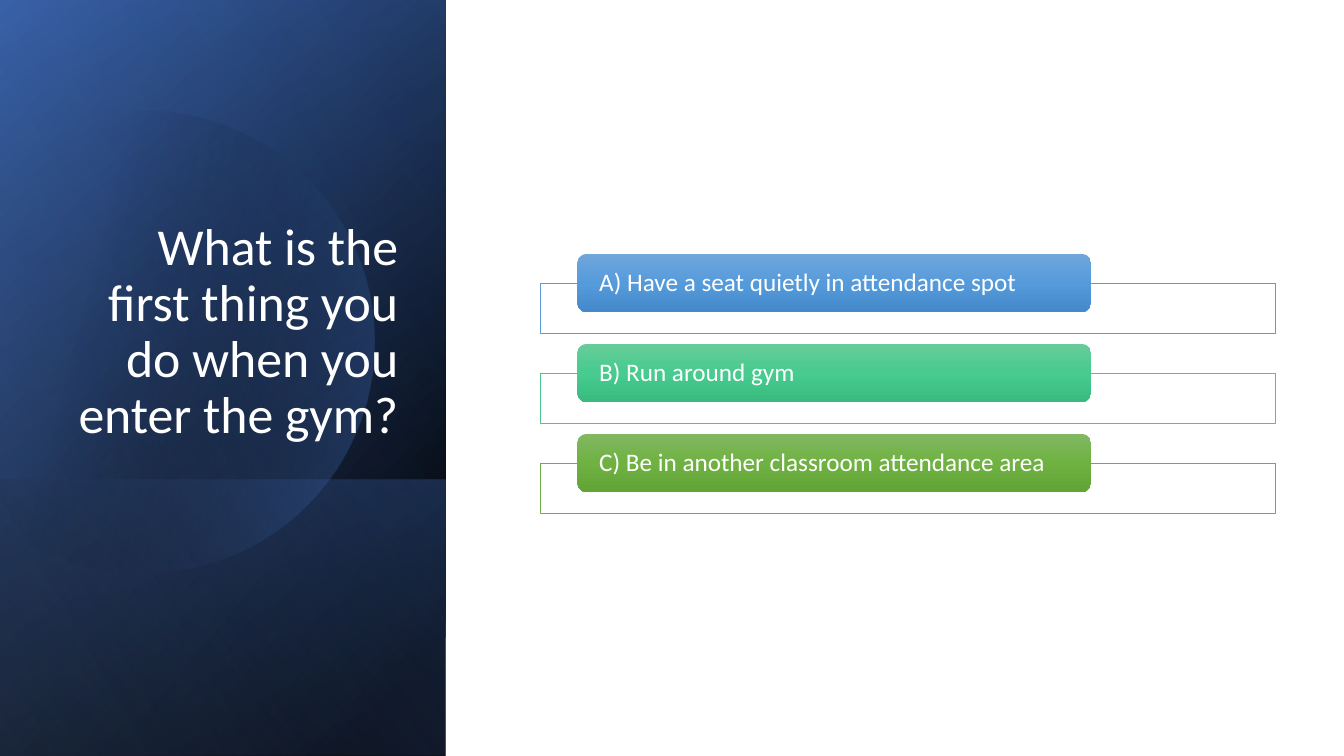
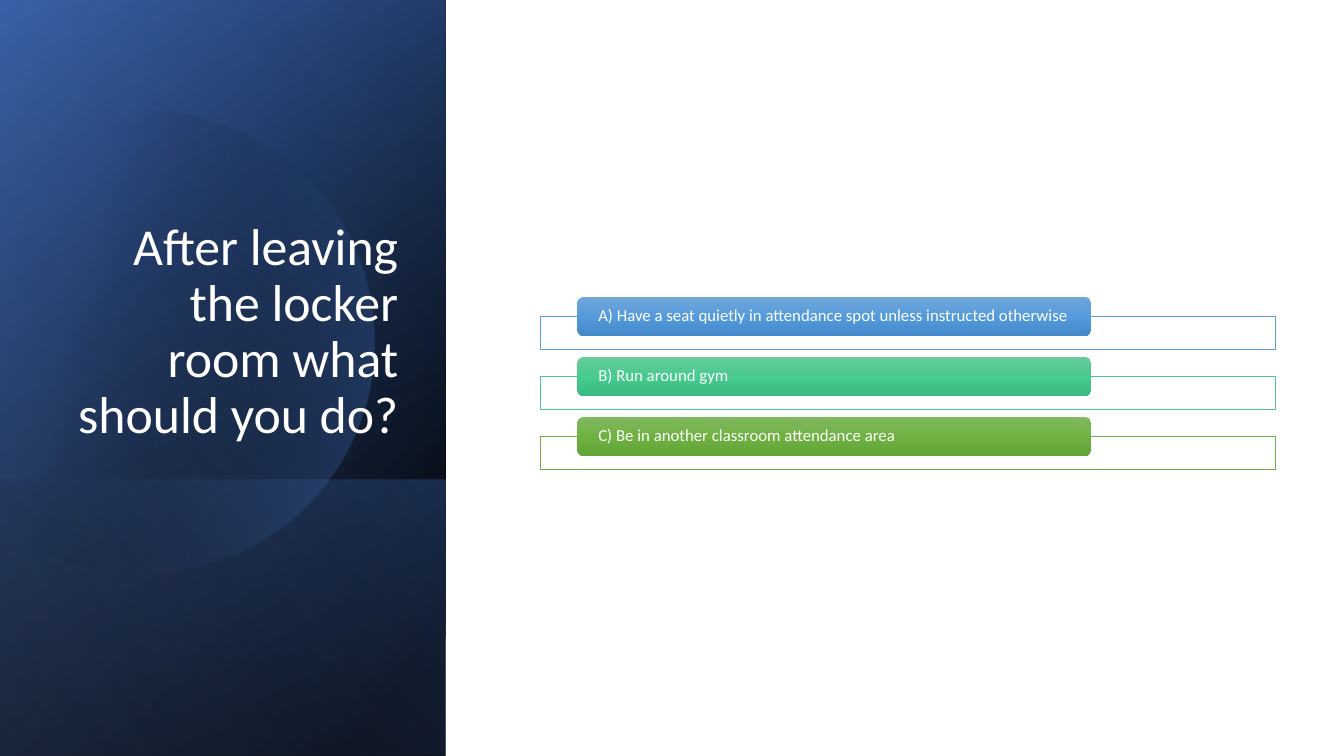
from math import acos, cos, sin

from lxml.etree import SubElement
from pptx import Presentation
from pptx.dml.color import RGBColor
from pptx.enum.shapes import MSO_SHAPE
from pptx.enum.text import MSO_ANCHOR, MSO_AUTO_SIZE, PP_ALIGN
from pptx.oxml.ns import qn
from pptx.util import Cm, Pt

FONT = "Calibri"
COLOURS = {
    "white": "FFFFFF",
    "black": "000000",
    "navy": "2F5597",
    "blue": "4472C4",
    "pale": "8FAADC",
}
# Outline of the frame, then the bar's shades from top to bottom
ANSWER_STYLES = [
    ("5B9BD5", ("71A6DB", "559BDB", "448ACA")),
    ("4DC58D", ("67CC9A", "47CB8E", "39BB7F")),
    ("70AD47", ("81B861", "6FB242", "62A336")),
]
QUESTIONS = [
    (
        "What is the first thing you do when you enter the gym?",
        18,
        [
            "A) Have a seat quietly in attendance spot",
            "B) Run around gym",
            "C) Be in another classroom attendance area",
        ],
    ),
    (
        "After leaving the locker room what should you do?",
        12,
        [
            "A) Have a seat quietly in attendance spot unless instructed otherwise",
            "B) Run around gym",
            "C) Be in another classroom attendance area",
        ],
    ),
]

PAGE_WIDTH, PAGE_HEIGHT = 33.87, 19.05
PANEL_WIDTH = 11.23
BAND_TOP = 12.09
DISC_X, DISC_Y, DISC_RADIUS, DISC_CUT = 3.63, 8.61, 5.82, -0.38
ARC_STEPS = 120

ANSWERS_MIDDLE = 9.66
FRAME_LEFT, FRAME_WIDTH = 13.61, 18.52
BAR_LEFT, BAR_WIDTH = 14.55, 12.95
# Answer heights in cm for each point of text size
BAR_RATIO, FRAME_RATIO, PITCH_RATIO = 0.082, 0.07, 0.126


def fill_gradient(shape, stops, angle):
    """Fill with (position, colour, opacity) stops in percent, angle clockwise."""
    shape.fill.gradient()
    gradient = shape.element.spPr.find(qn("a:gradFill"))
    stop_list = gradient.find(qn("a:gsLst"))
    for old_stop in list(stop_list):
        stop_list.remove(old_stop)
    for position, colour, opacity in stops:
        stop = SubElement(stop_list, qn("a:gs"), pos=str(position * 1000))
        shade = SubElement(stop, qn("a:srgbClr"), val=colour)
        if opacity < 100:
            SubElement(shade, qn("a:alpha"), val=str(opacity * 1000))
    shape.fill.gradient_angle = 360 - angle


def add_plain_shape(page, kind, left, top, width, height):
    shape = page.shapes.add_shape(kind, Cm(left), Cm(top), Cm(width), Cm(height))
    shape.shadow.inherit = False
    shape.line.fill.background()
    return shape


def write_text(shape, text, *, size, align=PP_ALIGN.LEFT, anchor=MSO_ANCHOR.MIDDLE):
    frame = shape.text_frame
    frame.word_wrap = True
    frame.auto_size = MSO_AUTO_SIZE.NONE
    frame.vertical_anchor = anchor
    para = frame.paragraphs[0]
    para.alignment = align
    para.line_spacing = 0.9
    span = para.add_run()
    span.text = text
    span.font.name = FONT
    span.font.size = Pt(size)
    span.font.color.rgb = RGBColor.from_string(COLOURS["white"])


def add_panel_layer(page, top, stops, angle):
    layer = add_plain_shape(
        page, MSO_SHAPE.RECTANGLE, 0, top, PANEL_WIDTH, PAGE_HEIGHT - top
    )
    fill_gradient(layer, stops, angle)


def add_disc(page):
    """Draw the faint disc, cut straight on its left side."""
    reach = acos((DISC_CUT - DISC_X) / DISC_RADIUS)
    angles = [reach * (2 * step / ARC_STEPS - 1) for step in range(ARC_STEPS + 1)]
    points = [
        (Cm(DISC_X + DISC_RADIUS * cos(angle)), Cm(DISC_Y + DISC_RADIUS * sin(angle)))
        for angle in angles
    ]
    outline = page.shapes.build_freeform(*points[0])
    outline.add_line_segments(points[1:], close=True)
    disc = outline.convert_to_shape()
    disc.shadow.inherit = False
    disc.line.fill.background()
    fill_gradient(disc, [(29, COLOURS["black"], 0), (100, COLOURS["blue"], 43)], 14)


def add_panel(page):
    black, blue = COLOURS["black"], COLOURS["blue"]
    add_panel_layer(page, 0, [(8, black, 100), (100, COLOURS["navy"], 100)], 220)
    add_panel_layer(page, 0, [(0, black, 0), (99, blue, 46)], 240)
    add_panel_layer(page, BAND_TOP, [(2, blue, 29), (100, black, 30)], 140)
    add_disc(page)
    add_panel_layer(page, 0, [(0, black, 0), (99, COLOURS["pale"], 11)], 150)


def set_title(page, text):
    title = page.shapes.title
    title.left, title.top = Cm(1.63), Cm(4.67)
    title.width, title.height = Cm(8.66), Cm(6.65)
    write_text(title, text, size=37, align=PP_ALIGN.RIGHT, anchor=MSO_ANCHOR.BOTTOM)
    # The title stands in front of the panel
    title.element.getparent().append(title.element)


def add_answer(page, text, top, size, outline, shades):
    bar_height = BAR_RATIO * size
    frame = add_plain_shape(
        page,
        MSO_SHAPE.RECTANGLE,
        FRAME_LEFT,
        top + bar_height / 2,
        FRAME_WIDTH,
        FRAME_RATIO * size,
    )
    frame.fill.solid()
    frame.fill.fore_color.rgb = RGBColor.from_string(COLOURS["white"])
    frame.line.color.rgb = RGBColor.from_string(outline)
    frame.line.width = Pt(0.5)

    bar = add_plain_shape(
        page, MSO_SHAPE.ROUNDED_RECTANGLE, BAR_LEFT, top, BAR_WIDTH, bar_height
    )
    fill_gradient(bar, [(50 * i, shade, 100) for i, shade in enumerate(shades)], 90)
    box = bar.text_frame
    box.margin_left = box.margin_right = Cm(0.48)
    box.margin_top = box.margin_bottom = 0
    write_text(bar, text, size=size)


def add_answers(page, answers, size):
    """Stack the answers around a fixed middle, scaled by their text size."""
    pitch = PITCH_RATIO * size
    last_height = (BAR_RATIO / 2 + FRAME_RATIO) * size
    first_top = ANSWERS_MIDDLE - (pitch * (len(answers) - 1) + last_height) / 2
    for row, (text, (outline, shades)) in enumerate(zip(answers, ANSWER_STYLES)):
        add_answer(page, text, first_top + row * pitch, size, outline, shades)


def main():
    deck = Presentation()
    deck.slide_width, deck.slide_height = Cm(PAGE_WIDTH), Cm(PAGE_HEIGHT)
    title_only = deck.slide_layouts[5]
    for question, size, answers in QUESTIONS:
        page = deck.slides.add_slide(title_only)
        add_panel(page)
        set_title(page, question)
        add_answers(page, answers, size)
    deck.save("out.pptx")


if __name__ == "__main__":
    main()
